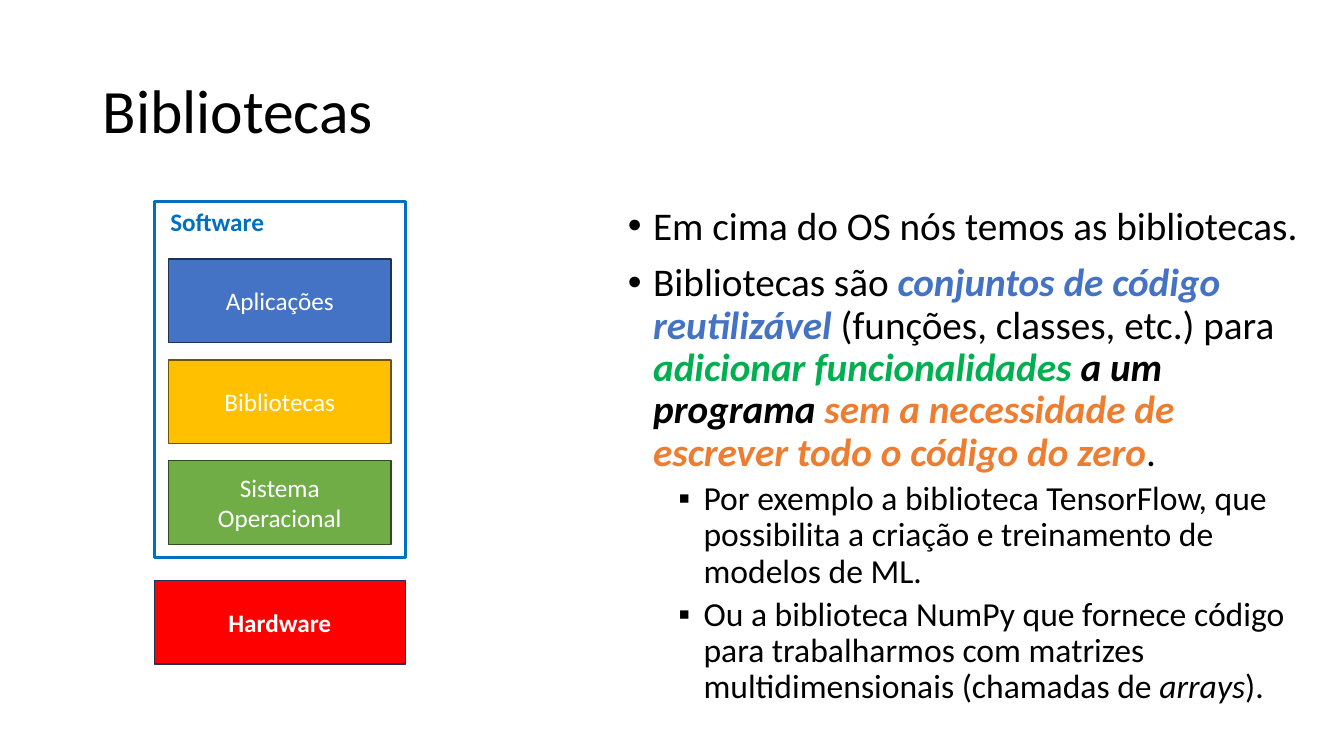
from lxml import etree
from pptx import Presentation
from pptx.dml.color import RGBColor
from pptx.enum.shapes import MSO_SHAPE
from pptx.enum.text import MSO_ANCHOR, PP_ALIGN
from pptx.oxml.ns import qn
from pptx.util import Inches, Pt

RECT = MSO_SHAPE.RECTANGLE
MIDDLE, TOP = MSO_ANCHOR.MIDDLE, MSO_ANCHOR.TOP
LEFT, CENTER = PP_ALIGN.LEFT, PP_ALIGN.CENTER

C = {
    "black": "000000", "white": "FFFFFF", "blue": "4472C4", "navy": "1E3256",
    "gold": "FFC000", "brown": "705400", "green": "70AD47", "moss": "314C1F",
    "red": "FF0000", "frame": "0070C0", "emerald": "00B050", "orange": "ED7D31",
}

prs = Presentation()
prs.slide_width, prs.slide_height = Inches(13.33), Inches(7.5)
s = prs.slides.add_slide(prs.slide_layouts[6])


def add_run(p, text, color, **fmt):
    r = p.add_run()
    r.text = text
    r.font.name = "Calibri"
    r.font.color.rgb = RGBColor.from_string(C[color])
    for name, value in fmt.items():
        setattr(r.font, name, value)


def add_box(box, fill=None, line=None, width=1, anchor=MIDDLE, align=CENTER):
    """Filled or outlined rectangle, or a text box when it has neither."""
    box = [Inches(v) for v in box]
    if fill or line:
        sp = s.shapes.add_shape(RECT, *box)
        sp.shadow.inherit = False
        sp.line.color.rgb = RGBColor.from_string(C[line])
        sp.line.width = Pt(width)
        if fill:
            sp.fill.solid()
            sp.fill.fore_color.rgb = RGBColor.from_string(C[fill])
        else:
            sp.fill.background()
    else:
        sp = s.shapes.add_textbox(*box)
    tf = sp.text_frame
    tf.word_wrap = True
    tf.vertical_anchor = anchor
    tf.paragraphs[0].alignment = align
    return tf


# Title
p = add_box((0.92, 0.4, 11.5, 1.45), align=LEFT).paragraphs[0]
p.line_spacing = 0.9
add_run(p, "Bibliotecas", "black", size=Pt(44))

# Explanation: level, then runs of text, colour and style
STRONG = {"bold": True, "italic": True}
points = [
    (0, [("Em cima do OS nós temos as bibliotecas.", "black", {})]),
    (0, [("Bibliotecas são ", "black", {}),
         ("conjuntos de código reutilizável", "blue", STRONG),
         (" (funções, classes, etc.) para ", "black", {}),
         ("adicionar funcionalidades", "emerald", STRONG),
         (" a um programa ", "black", STRONG),
         ("sem a necessidade de escrever todo o código do zero", "orange", STRONG),
         (".", "black", {})]),
    (1, [("Por exemplo a biblioteca TensorFlow, que possibilita a criação e "
          "treinamento de modelos de ML.", "black", {})]),
    (1, [("Ou a biblioteca NumPy que fornece código para trabalharmos com "
          "matrizes multidimensionais (chamadas de ", "black", {}),
         ("arrays", "black", {"italic": True}),
         (").", "black", {})]),
]
levels = [
    {"bullet": "•", "indent": 0.25, "size": 28, "before": 10},
    {"bullet": "▪", "indent": 0.75, "size": 24, "before": 5},
]
tf = add_box((6.13, 2, 7, 5.5), anchor=TOP, align=LEFT)
for i, (level, runs) in enumerate(points):
    style = levels[level]
    p = tf.add_paragraph() if i else tf.paragraphs[0]
    p.level = level
    p.line_spacing = 0.9
    p.space_before = Pt(style["before"] if i else 0)
    pPr = p._p.get_or_add_pPr()
    pPr.set("marL", str(Inches(style["indent"])))
    pPr.set("indent", str(-Inches(0.25)))
    etree.SubElement(pPr, qn("a:buFont")).set("typeface", "Arial")
    etree.SubElement(pPr, qn("a:buChar")).set("char", style["bullet"])
    for text, color, fmt in runs:
        add_run(p, text, color, size=Pt(style["size"]), **fmt)

# Software layers, one per inch
layers = [
    ("Aplicações", "blue", "navy"),
    ("Bibliotecas", "gold", "brown"),
    ("Sistema Operacional", "green", "moss"),
]
for row, (text, fill, line) in enumerate(layers):
    tf = add_box((1.67, 2.57 + row, 2.21, 0.83), fill, line)
    add_run(tf.paragraphs[0], text, "white", size=Pt(18))

# Hardware
tf = add_box((1.53, 5.76, 2.49, 0.83), "red", "navy")
add_run(tf.paragraphs[0], "Hardware", "white", size=Pt(18), bold=True)

# Software frame and its label
tf = add_box((1.59, 2, 1.42, 0.4), anchor=TOP, align=LEFT)
add_run(tf.paragraphs[0], "Software", "frame", size=Pt(18), bold=True)
add_box((1.53, 2, 2.49, 3.53), line="frame", width=2.25)

prs.save("out.pptx")
